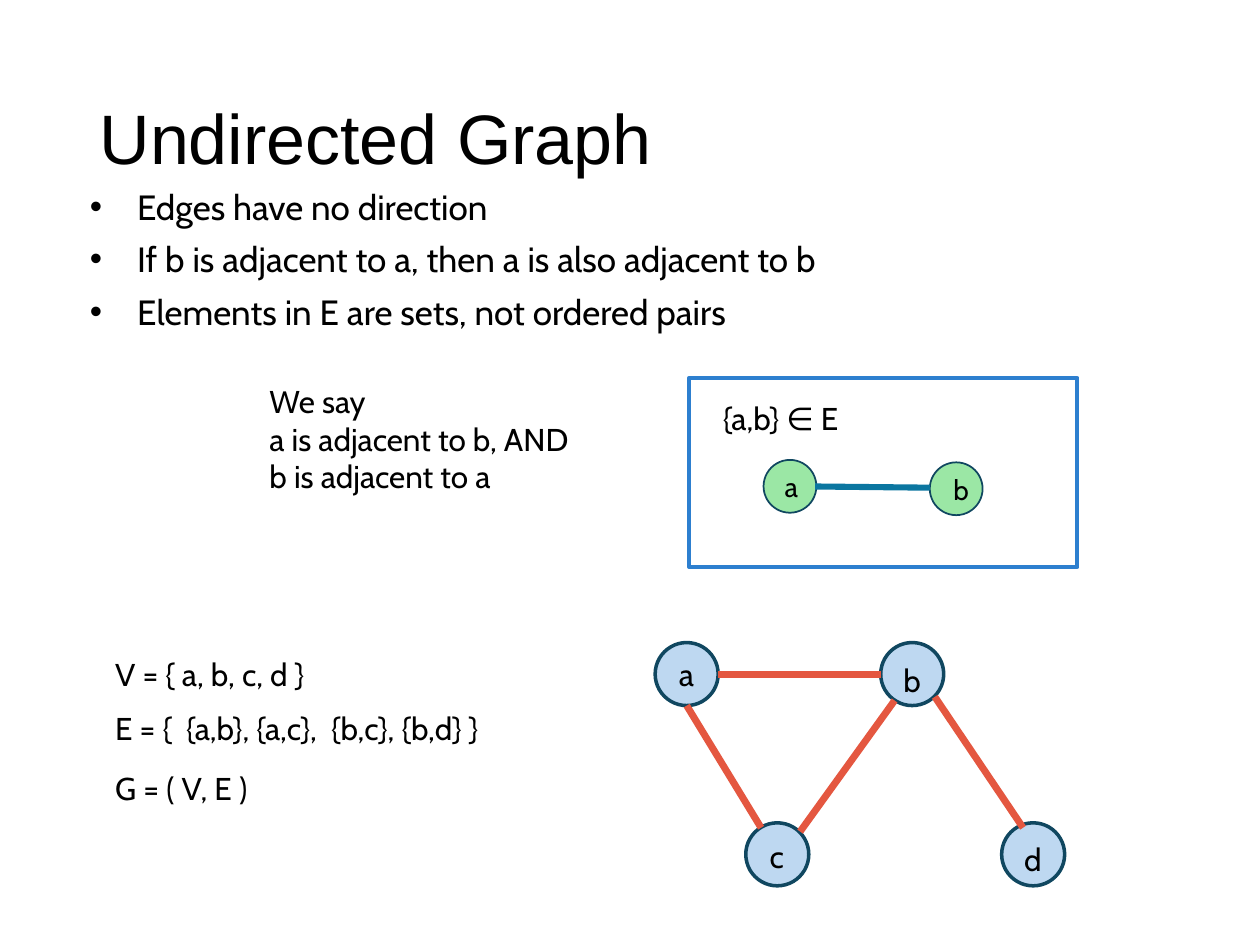
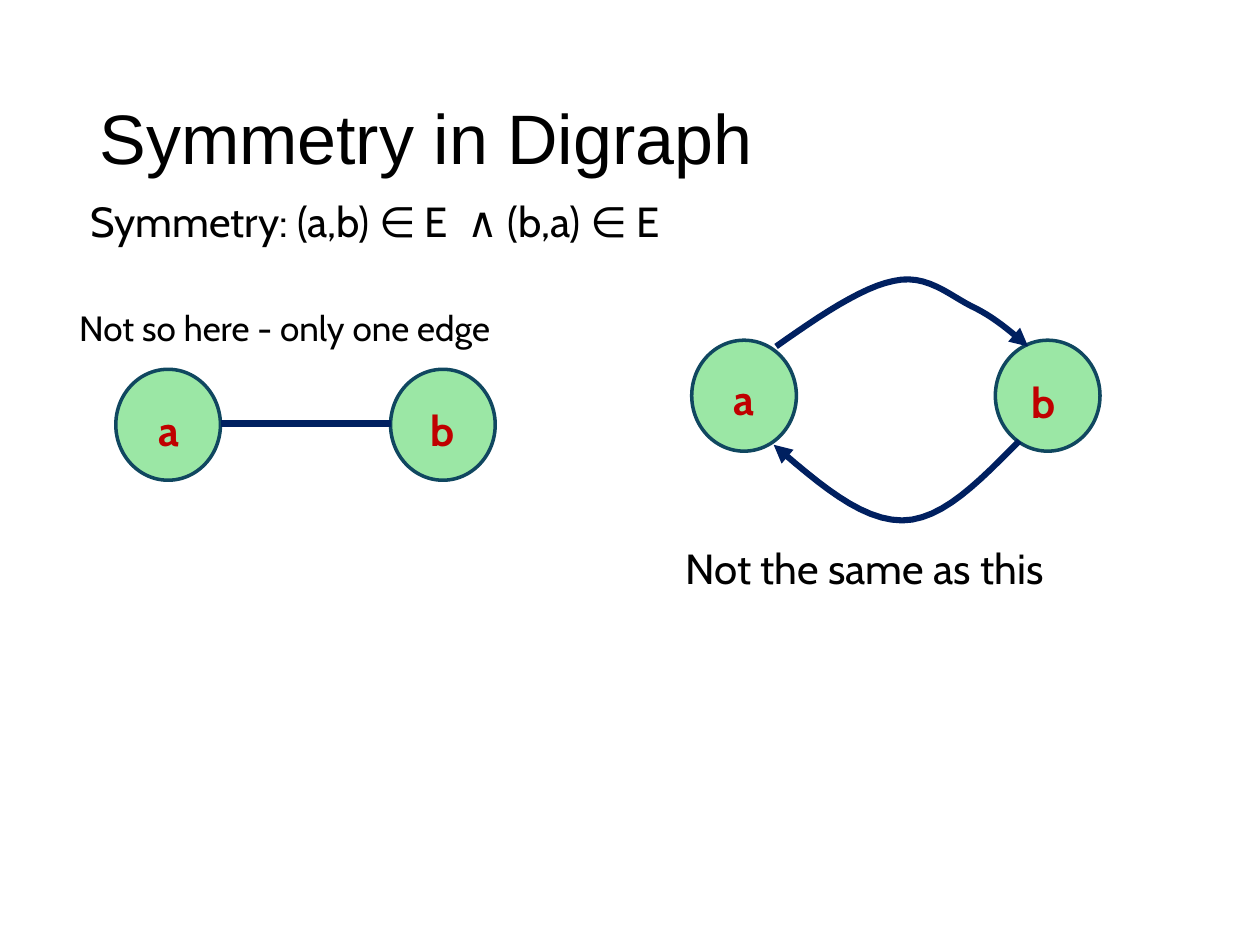
import lxml.etree
import pptx
import pptx.dml.color
import pptx.enum.shapes
import pptx.enum.text
import pptx.oxml.ns
import pptx.util
from collections import namedtuple

Pt = pptx.util.Pt
RGBColor = pptx.dml.color.RGBColor
qn = pptx.oxml.ns.qn
Shape = pptx.enum.shapes.MSO_SHAPE
Text = pptx.enum.text

BLACK = RGBColor(0x00, 0x00, 0x00)
GREEN = RGBColor(0x47, 0xD4, 0x5A)
SKY = RGBColor(0x71, 0xAA, 0xE0)
OUTLINE = RGBColor(0x10, 0x47, 0x60)
FRAME = RGBColor(0x2D, 0x7F, 0xCF)
TEAL = RGBColor(0x0B, 0x76, 0xA0)
CORAL = RGBColor(0xE4, 0x57, 0x40)
NAVY = RGBColor(0x00, 0x20, 0x60)
CRIMSON = RGBColor(0xC0, 0x00, 0x00)

Box = namedtuple("Box", "left top width height")
NodeStyle = namedtuple("NodeStyle", "width height fill opacity outline label")

BODY = {"name": "Cabin", "size": Pt(18), "bold": False}
SMALL_NODE = NodeStyle(30.2, 30.2, GREEN, 54, 1, {"size": Pt(16)})
BLUE_NODE = NodeStyle(36, 36, SKY, 45, 2, {"size": Pt(18)})
LARGE_NODE = NodeStyle(59.8, 63.4, GREEN, 54, 2,
                       {"size": Pt(24), "bold": True, "color": CRIMSON})


def apply_settings(target, settings):
    """Set every attribute listed in settings on target."""
    for name, value in settings.items():
        setattr(target, name, value)


def style_font(font, settings):
    """Format a font from a dict, with its colour under the key color."""
    values = {**BODY, **settings}
    font.color.rgb = values.pop("color", BLACK)
    apply_settings(font, values)


def style_line(line, color, width):
    """Give a line its colour and its width in points."""
    line.color.rgb = color
    line.width = Pt(width)


def within(box, x, y, width=0, height=0):
    """Return the box placed at an offset inside another box."""
    return Box(box.left + x, box.top + y, width, height)


def add_text(shapes, box, lines, font=None, margin=0, hanging=0, bullet=None, spacing=None):
    """Add a text box with one paragraph per line."""
    frame = shapes.add_textbox(*map(Pt, box)).text_frame
    frame.word_wrap = True
    for index, line in enumerate(lines):
        para = frame.paragraphs[0] if index == 0 else frame.add_paragraph()
        span = para.add_run()
        span.text = line
        style_font(span.font, font or {})
        apply_settings(para, spacing or {})
        properties = para._p.get_or_add_pPr()
        properties.set("marL", str(Pt(margin)))
        properties.set("indent", str(Pt(hanging)))
        if bullet:
            lxml.etree.SubElement(properties, qn("a:buFont")).set("typeface", "Arial")
            lxml.etree.SubElement(properties, qn("a:buChar")).set("char", bullet)
    return frame


def add_title(page, text):
    """Place and format the title placeholder."""
    title = page.shapes.title
    box = Box(49.7, 28.8, 620.6, 104.4)
    apply_settings(title, dict(zip(box._fields, map(Pt, box))))
    title.text = text
    apply_settings(title.text_frame, {
        "auto_size": Text.MSO_AUTO_SIZE.NONE,
        "vertical_anchor": Text.MSO_ANCHOR.MIDDLE})
    para = title.text_frame.paragraphs[0]
    apply_settings(para, {"alignment": Text.PP_ALIGN.LEFT, "line_spacing": 0.9})
    style_font(para.runs[0].font, {"name": "Arial", "size": Pt(40)})


def add_outlined(shapes, kind, box, color, width):
    """Add an unfilled, shadowless preset shape."""
    shape = shapes.add_shape(kind, *map(Pt, box))
    shape.shadow.inherit = False
    shape.fill.background()
    style_line(shape.line, color, width)
    return shape


def add_edge(shapes, box, start, end, color, width):
    """Draw a straight edge between two offsets inside the box."""
    points = [box.left + start[0], box.top + start[1], box.left + end[0], box.top + end[1]]
    edge = shapes.add_connector(pptx.enum.shapes.MSO_CONNECTOR.STRAIGHT, *map(Pt, points))
    style_line(edge.line, color, width)
    lxml.etree.SubElement(edge._element.spPr, qn("a:effectLst"))


def bezier_point(controls, t):
    """Return the point at t on a cubic curve."""
    weights = ((1 - t) ** 3, 3 * t * (1 - t) ** 2, 3 * t * t * (1 - t), t ** 3)
    return tuple(sum(w * point[axis] for w, point in zip(weights, controls)) for axis in (0, 1))


def add_curved_arrow(shapes, box, controls, steps=12):
    """Draw a chain of cubic curves ending in an arrowhead."""
    points = [controls[0]]
    for first in range(0, len(controls) - 1, 3):
        points += [bezier_point(controls[first:first + 4], step / steps)
                   for step in range(1, steps + 1)]
    placed = [(Pt(box.left + x), Pt(box.top + y)) for x, y in points]
    builder = shapes.build_freeform(*placed[0], scale=1.0)
    builder.add_line_segments(placed[1:], close=False)
    arrow = builder.convert_to_shape()
    arrow.shadow.inherit = False
    arrow.fill.background()
    style_line(arrow.line, NAVY, 3.5)
    head = lxml.etree.SubElement(arrow.line._get_or_add_ln(), qn("a:tailEnd"))
    head.set("type", "triangle")


def add_graph(shapes, box, nodes, style, edges=(), color=NAVY, width=3.5):
    """Draw nodes given as name: (x, y, label x, label y), then edges and labels."""
    for x, y, _, _ in nodes.values():
        node = add_outlined(shapes, Shape.OVAL, within(box, x, y, style.width, style.height),
                            OUTLINE, style.outline)
        node.fill.solid()
        node.fill.fore_color.rgb = style.fill
        tint = node._element.spPr.find(".//" + qn("a:srgbClr"))
        lxml.etree.SubElement(tint, qn("a:alpha")).set("val", str(style.opacity * 1000))
    for start, end in edges:
        add_edge(shapes, box, start, end, color, width)
    for name, (x, y, label_x, label_y) in nodes.items():
        place = within(box, x + label_x, y + label_y, 31, 36)
        add_text(shapes, place, [name], style.label)


def add_pair_panel(page, box):
    """Draw the framed pair of adjacent nodes."""
    shapes = page.shapes.add_group_shape().shapes
    add_outlined(shapes, Shape.RECTANGLE, box, FRAME, 2.5)
    nodes = {"a": (42.5, 46.8, 5, 2.2), "b": (137.5, 48.2, 6.5, 2.2)}
    add_graph(shapes, box, nodes, SMALL_NODE, [((72, 62), (137.5, 62.7))], TEAL)
    add_text(page.shapes, within(box, 12.2, 8.6, 100, 29), ["{a,b} ∈ E"])


def add_four_node_graph(page, box):
    """Draw the undirected graph on a, b, c and d."""
    nodes = {"a": (0, 0, 6.5, 3.6), "b": (128.9, 0, 5.8, 7.2),
             "c": (51.8, 103, 6.5, 4.3), "d": (198, 103, 5.8, 6.5)}
    edges = [((36, 18), (128.9, 18)), ((210.2, 105.8), (159.8, 31)),
             ((136.8, 33.1), (82.8, 108)), ((60.5, 105.8), (18, 36))]
    add_graph(page.shapes.add_group_shape().shapes, box, nodes, BLUE_NODE, edges, CORAL, 4)


def add_set_definitions(page, box):
    """Write the vertex set, edge set and graph definitions."""
    rows = [(0, "V = { a, b, c, d }"), (31, "E = {  {a,b}, {a,c},  {b,c}, {b,d} }"),
            (64.8, "G = ( V, E )")]
    for top, text in rows:
        add_text(page.shapes, within(box, 0, top, box.width, 29), [text], margin=12.75)


def add_single_edge(page, box):
    """Draw two nodes joined by one edge, with the caption above."""
    nodes = {"a": (0, 0, 17.3, 16.6), "b": (157, 0, 15.8, 16.6)}
    add_graph(page.shapes.add_group_shape().shapes, box, nodes, LARGE_NODE,
              [((59.8, 31), (157, 31))])
    add_text(page.shapes, within(box, -28, -39.6, 260, 32),
             ["Not so here - only one edge"], {"size": Pt(20)})


def add_two_way_pair(page, box):
    """Draw two nodes joined by an arrow each way, with the caption below."""
    shapes = page.shapes.add_group_shape().shapes
    nodes = {"a": (0, 0, 16.6, 15.8), "b": (173.5, 0, 13.7, 17.3)}
    add_graph(shapes, box, nodes, LARGE_NODE)
    upper = [(48.2, 3.6), (72.7, -13.7), (97.2, -30.2), (115.2, -33.8), (133.9, -38.2),
             (146.9, -25.9), (159.8, -19.4), (172.1, -13.7), (182.2, -5), (192.2, 3.6)]
    lower = [(187.2, 57.6), (164.9, 79.9), (143.3, 103), (120.2, 103),
             (96.5, 103), (72, 81.4), (46.8, 59.8)]
    for controls in (upper, lower):
        add_curved_arrow(shapes, box, controls)
    add_text(page.shapes, within(box, -10.8, 112.3, 300, 36),
             ["Not the same as this"], {"size": Pt(24)})


def add_page(deck, title):
    """Add a title-only page with its title."""
    page = deck.slides.add_slide(deck.slide_layouts[5])
    add_title(page, title)
    return page


def build_undirected_graph(deck):
    """Build the page on undirected graphs."""
    page = add_page(deck, "Undirected Graph")
    frame = add_text(page.shapes, Box(36, 102.2, 648, 120), [
        "Edges have no direction",
        "If b is adjacent to a, then a is also adjacent to b",
        "Elements in E are sets, not ordered pairs",
    ], {"size": Pt(20)}, margin=35.3, hanging=-27, bullet="•")
    apply_settings(frame.paragraphs[1], {"space_before": Pt(6), "space_after": Pt(6)})
    add_pair_panel(page, Box(393.8, 216, 221.8, 108))
    add_four_node_graph(page, Box(374.4, 367.2, 234, 139))
    add_set_definitions(page, Box(46, 370.8, 322.6, 94))
    add_text(page.shapes, Box(146.9, 214.6, 215, 72.7),
             ["We say", "a is adjacent to b, AND", "b is adjacent to a"])


def build_symmetry(deck):
    """Build the page on symmetry in a digraph."""
    page = add_page(deck, "Symmetry in Digraph")
    add_text(page.shapes, Box(36, 111.6, 648, 40), ["Symmetry: (a,b) ∈ E  ∧ (b,a) ∈ E"],
             {"size": Pt(24)}, margin=8.6, spacing={"line_spacing": 0.9})
    add_single_edge(page, Box(66.2, 211, 217, 63.4))
    add_two_way_pair(page, Box(395.3, 194.4, 233.3, 63.4))


def main():
    """Build and save the deck."""
    deck = pptx.Presentation()
    apply_settings(deck, {"slide_width": Pt(720), "slide_height": Pt(540)})
    build_undirected_graph(deck)
    build_symmetry(deck)
    deck.save("out.pptx")


if __name__ == "__main__":
    main()
